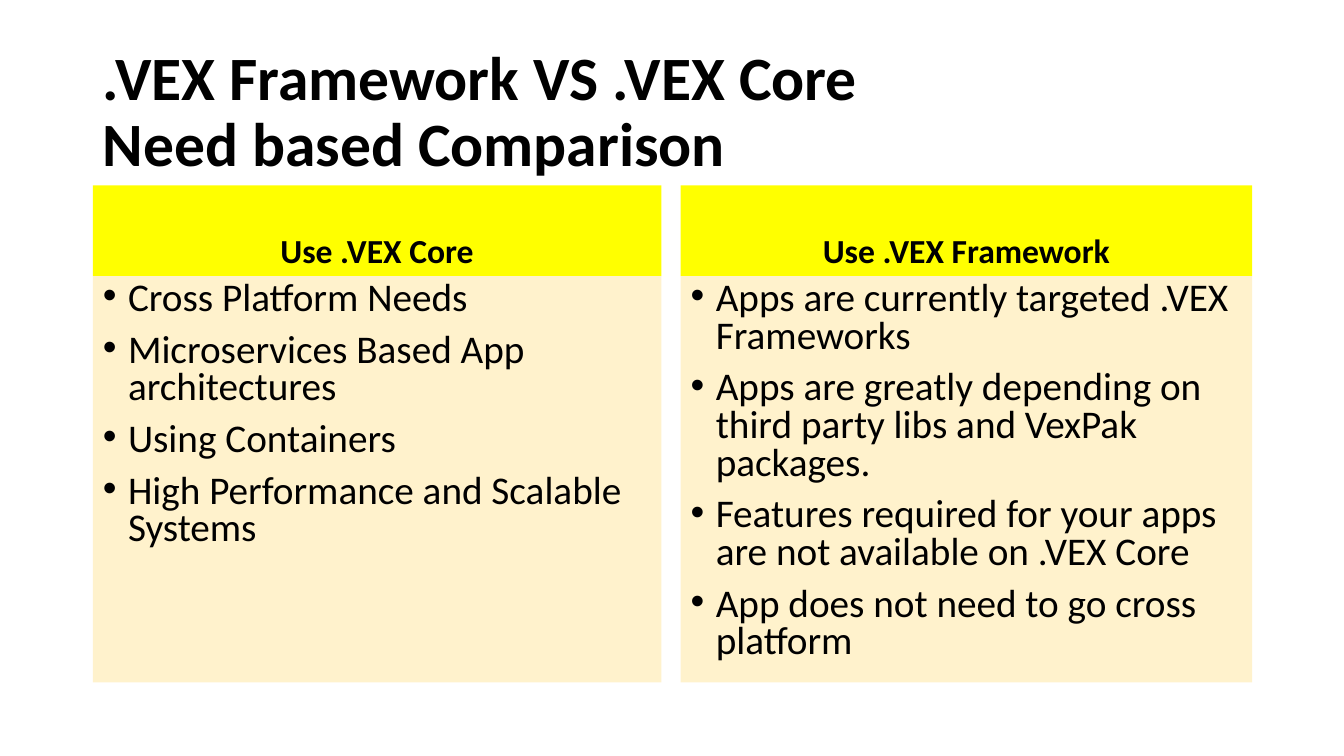
from pptx import Presentation
from pptx.dml.color import RGBColor
from pptx.enum import text as t
from pptx.oxml.ns import qn
from pptx.util import Inches, Pt
from lxml import etree

TITLE = ".VEX Framework VS .VEX Core\vNeed based Comparison"
COLUMNS = [
    ("Use .VEX Core", 5.64, [
        "Cross Platform Needs",
        "Microservices Based App architectures",
        "Using Containers",
        "High Performance and Scalable Systems",
    ]),
    ("Use .VEX Framework", 5.67, [
        "Apps are currently targeted .VEX Frameworks",
        "Apps are greatly depending on third party libs and VexPak packages.",
        "Features required for your apps are not available on .VEX Core",
        "App does not need to go cross platform",
    ]),
]
COLORS = {"text": "000000", "heading": "FFFF00", "list": "FFF2CC"}
FONT = "Calibri"

WIDTH, HEIGHT = 13.33, 7.5
LEFT, CONTENT_W, GAP = 0.92, 11.5, 0.19
TITLE_TOP, TITLE_H = 0.4, 1.45
HEADING_TOP, HEADING_H = 1.84, 0.9
LIST_TOP, LIST_H = HEADING_TOP + HEADING_H, 4.03
INDENT = Inches(0.25)


def add_bullet(p):
    pPr = p._p.get_or_add_pPr()
    pPr.set("marL", str(INDENT))
    pPr.set("indent", str(-INDENT))
    etree.SubElement(pPr, qn("a:buFont")).set("typeface", "Arial")
    etree.SubElement(pPr, qn("a:buChar")).set("char", "•")


def fill_placeholder(sp, lines, box, size, bold=False, fill=None, bullets=False,
                     align=t.PP_ALIGN.LEFT, anchor=t.MSO_ANCHOR.TOP, spacing=0.9):
    sp.left, sp.top, sp.width, sp.height = map(Inches, box)
    if fill:
        sp.fill.solid()
        sp.fill.fore_color.rgb = RGBColor.from_string(COLORS[fill])
    tf = sp.text_frame
    tf.word_wrap = True
    tf.auto_size = t.MSO_AUTO_SIZE.NONE
    tf.vertical_anchor = anchor
    for i, line in enumerate(lines):
        p = tf.add_paragraph() if i else tf.paragraphs[0]
        p.text = line
        if bullets:
            add_bullet(p)
        p.alignment = align
        p.line_spacing = spacing
        p.space_before = Pt(10 if i else 0)
        for r in p.runs:
            r.font.name = FONT
            r.font.size = Pt(size)
            r.font.bold = bold
            r.font.color.rgb = RGBColor.from_string(COLORS["text"])


def main():
    prs = Presentation()
    prs.slide_width, prs.slide_height = Inches(WIDTH), Inches(HEIGHT)
    s = prs.slides.add_slide(prs.slide_layouts.get_by_name("Comparison"))
    title, *bodies = list(s.placeholders)[:5]

    fill_placeholder(title, [TITLE], (LEFT, TITLE_TOP, CONTENT_W, TITLE_H), 44,
                     bold=True, anchor=t.MSO_ANCHOR.MIDDLE)
    x = LEFT
    for i, (heading, width, items) in enumerate(COLUMNS):
        fill_placeholder(bodies[2 * i], [heading],
                         (x, HEADING_TOP, width, HEADING_H), 24,
                         bold=True, fill="heading", align=t.PP_ALIGN.CENTER,
                         anchor=t.MSO_ANCHOR.BOTTOM)
        fill_placeholder(bodies[2 * i + 1], items,
                         (x, LIST_TOP, width, LIST_H), 28,
                         fill="list", bullets=True, spacing=0.8)
        x += width + GAP
    prs.save("out.pptx")


if __name__ == "__main__":
    main()
